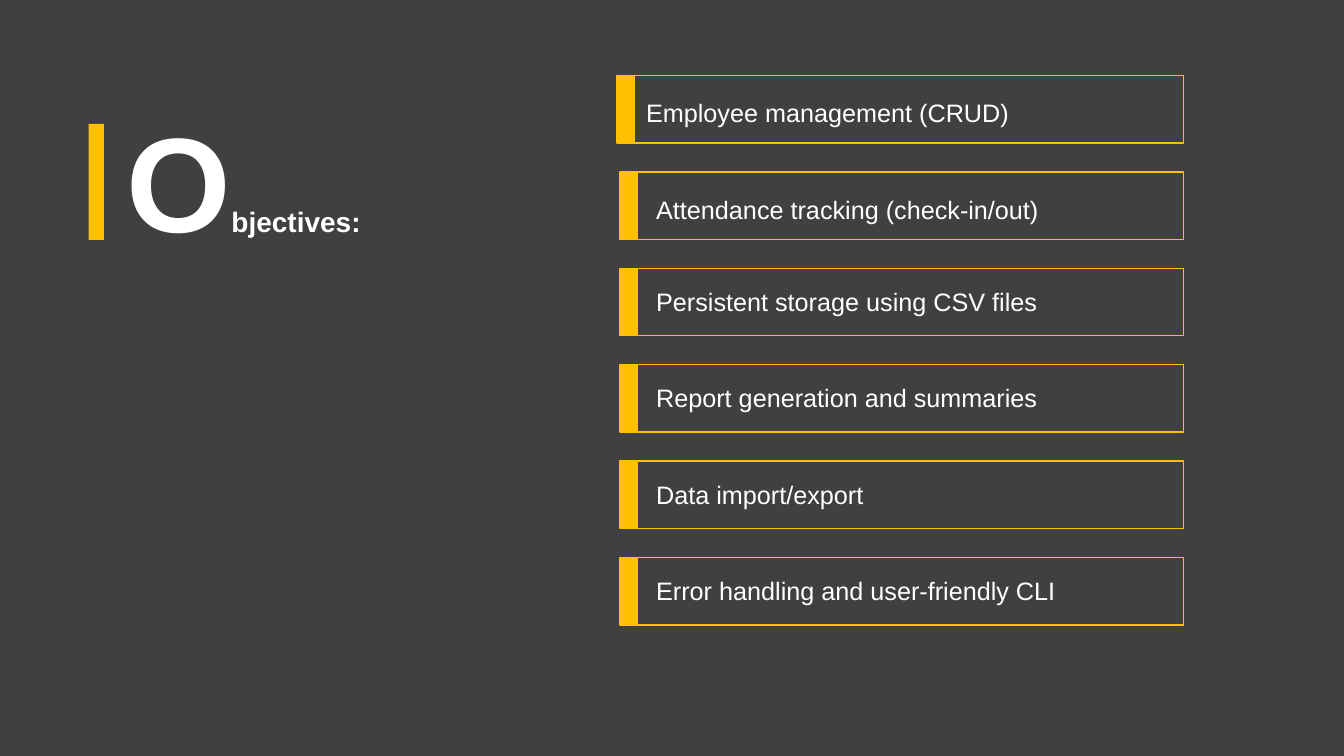
from pptx import Presentation
from pptx import util as u
from pptx.dml import color
from pptx.enum import shapes, text

GOLD, WHITE, GREY = "FFC000", "FFFFFF", "404040"
FONT = "Arial"
TITLE = [("O", 96), ("bjectives:", 20)]
GOALS = [
    ("Employee management (CRUD)", 6.12, 6.31, 0.17),
    ("Attendance tracking (check-in/out)", 6.15, 6.41, 0.17),
    ("Persistent storage using CSV files", 6.15, 6.41, 0.13),
    ("Report generation and summaries", 6.15, 6.41, 0.13),
    ("Data import/export", 6.15, 6.41, 0.13),
    ("Error handling and user-friendly CLI", 6.15, 6.41, 0.13),
]
TOP, PITCH, HIGH = 0.75, 0.956, 0.67
BAR, RIGHT = 0.17, 11.74


def rgb(code):
    return color.RGBColor.from_string(code)


def rect(x, y, w, h, fill=None, line=None):
    box = slide.shapes.add_shape(
        shapes.MSO_SHAPE.RECTANGLE, *map(u.Inches, (x, y, w, h)))
    box.shadow.inherit = False
    if fill:
        box.fill.solid()
        box.fill.fore_color.rgb = rgb(fill)
    else:
        box.fill.background()
    if line:
        box.line.color.rgb = rgb(line)
        box.line.width = u.Pt(1)
    else:
        box.line.fill.background()


def label(x, y, w, h, parts, bold=False):
    frame = slide.shapes.add_textbox(*map(u.Inches, (x, y, w, h))).text_frame
    frame.word_wrap = True
    frame.auto_size = text.MSO_AUTO_SIZE.NONE
    for words, size in parts:
        run = frame.paragraphs[0].add_run()
        run.text = words
        run.font.name = FONT
        run.font.size = u.Pt(size)
        run.font.bold = bold
        run.font.color.rgb = rgb(WHITE)


deck = Presentation()
deck.slide_width, deck.slide_height = u.Inches(13.33), u.Inches(7.5)
slide = deck.slides.add_slide(deck.slide_layouts[6])
slide.background.fill.solid()
slide.background.fill.fore_color.rgb = rgb(GREY)

rect(0.88, 1.23, 0.15, 1.15, fill=GOLD)
label(1.16, 0.92, 2.61, 1.72, TITLE, bold=True)
for row, (goal, left, start, drop) in enumerate(GOALS):
    y = TOP + row * PITCH
    edge = left + BAR
    rect(left, y, BAR, HIGH, fill=GOLD, line=GOLD)
    rect(edge, y, RIGHT - edge, HIGH, line=GOLD)
    label(start, y + drop, 4.64, 0.4, [(goal, 18)])

deck.save("out.pptx")
